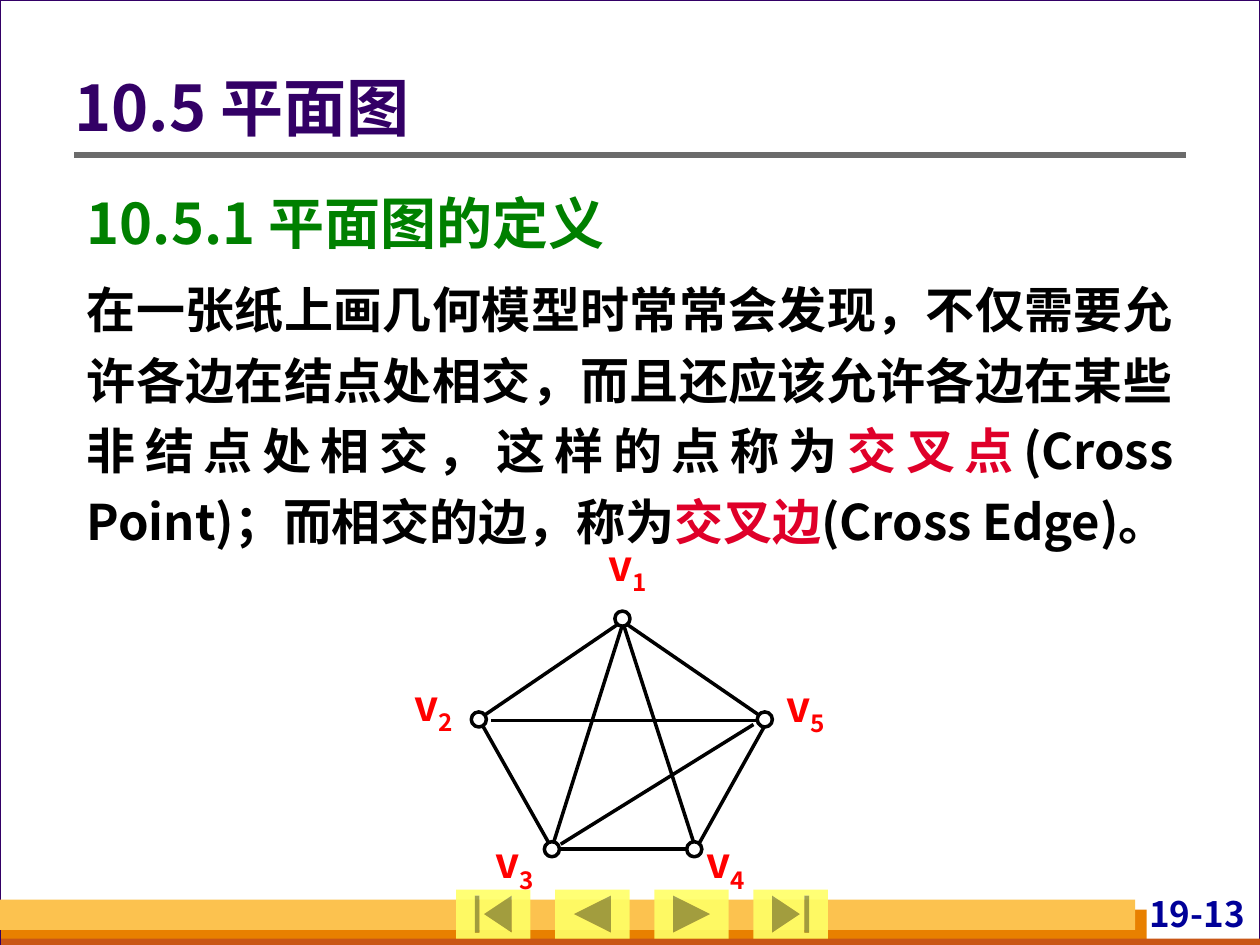
from lxml import etree
from pptx import Presentation
from pptx.dml.color import RGBColor
from pptx.enum.shapes import MSO_CONNECTOR, MSO_SHAPE
from pptx.enum.text import MSO_ANCHOR, PP_ALIGN
from pptx.oxml.ns import qn
from pptx.util import Inches, Pt

RECTANGLE, OVAL = MSO_SHAPE.RECTANGLE, MSO_SHAPE.OVAL
BUTTONS = (
    MSO_SHAPE.ACTION_BUTTON_BEGINNING,
    MSO_SHAPE.ACTION_BUTTON_BACK_OR_PREVIOUS,
    MSO_SHAPE.ACTION_BUTTON_FORWARD_OR_NEXT,
    MSO_SHAPE.ACTION_BUTTON_END,
)
STRAIGHT = MSO_CONNECTOR.STRAIGHT
LEFT, RIGHT, JUSTIFY = PP_ALIGN.LEFT, PP_ALIGN.RIGHT, PP_ALIGN.JUSTIFY
TOP, MIDDLE = MSO_ANCHOR.TOP, MSO_ANCHOR.MIDDLE

FONT = "Noto Sans CJK SC"
BLACK, WHITE, PURPLE, GREEN = "000000", "FFFFFF", "330066", "008000"
CRIMSON, RED, NAVY, GREY = "DF0029", "FF0000", "000099", "6B6B6B"


def color(hex_string):
    return RGBColor.from_string(hex_string)


def inches(box):
    return [Inches(value) for value in box]


def add_run(paragraph, text, size=28, fill=BLACK, baseline=None):
    run = paragraph.add_run()
    run.text = text
    run.font.size = Pt(size)
    run.font.bold = True
    run.font.name = FONT
    run.font.color.rgb = color(fill)
    properties = run._r.get_or_add_rPr()
    etree.SubElement(properties, qn("a:ea")).set("typeface", FONT)
    if baseline is not None:
        properties.set("baseline", str(baseline * 1000))


def write_text(shape, paragraphs, insets=(0, 0, 0, 0), anchor=TOP,
               align=LEFT, line_spacing=1.0, space_before=0):
    """Each paragraph is a list of (text, run format) pairs."""
    frame = shape.text_frame
    frame.word_wrap = True
    frame.vertical_anchor = anchor
    (frame.margin_left, frame.margin_top,
     frame.margin_right, frame.margin_bottom) = inches(insets)
    for index, runs in enumerate(paragraphs):
        paragraph = frame.add_paragraph() if index else frame.paragraphs[0]
        paragraph.alignment = align
        paragraph.line_spacing = line_spacing
        paragraph.space_before = Pt(space_before if index else 0)
        for text, run_format in runs:
            add_run(paragraph, text, **run_format)


def add_text(slide, box, paragraphs, **text_format):
    write_text(slide.shapes.add_textbox(*inches(box)), paragraphs, **text_format)


def add_preset(slide, kind, box, fill, line=None, width=1.0):
    shape = slide.shapes.add_shape(kind, *inches(box))
    shape.shadow.inherit = False
    shape.fill.solid()
    shape.fill.fore_color.rgb = color(fill)
    if line:
        shape.line.color.rgb = color(line)
        shape.line.width = Pt(width)
    else:
        shape.line.fill.background()
    return shape


def add_line(slide, start, end, fill=BLACK, width=2):
    line = slide.shapes.add_connector(STRAIGHT, *inches(start + end))
    line.line.color.rgb = color(fill)
    line.line.width = Pt(width)
    etree.SubElement(line._element.spPr, qn("a:effectLst"))


def add_frame(slide, width, height):
    add_preset(slide, RECTANGLE, (0, 0, width, height), WHITE, PURPLE, 0.75)
    # Layered bars along the bottom edge
    bars = (
        ((0.01, height - 0.28, 9.09, 0.28), "E88000"),
        ((0.01, height - 0.05, width - 0.01, 0.05), "C95616"),
        ((0, height - 0.36, 9.01, 0.24), "FCC24F"),
    )
    for box, fill in bars:
        add_preset(slide, RECTANGLE, box, fill)
    # Page number
    add_text(slide, (8.7, 7.08, 1.22, 0.4), [[("19-13", {"size": 20, "fill": NAVY})]],
             insets=(0.04, 0, 0.04, 0), align=RIGHT)


def add_navigation(slide, first_left, last_left, top):
    pitch = (last_left - first_left) / (len(BUTTONS) - 1)
    for index, kind in enumerate(BUTTONS):
        box = (first_left + index * pitch, top, 0.59, 0.39)
        button = add_preset(slide, kind, box, "FFFF66")
        fill = button.fill._xPr.find(qn("a:solidFill"))[0]
        etree.SubElement(fill, qn("a:alpha")).set("val", "90000")


def add_title(slide, left, top, width, height):
    title = slide.shapes.title
    title.left, title.top, title.width, title.height = inches((left, top, width, height))
    write_text(title, [[("10.5 平面图", {"size": 36, "fill": PURPLE})]],
               insets=(0, 0.05, 0.1, 0.05), anchor=MIDDLE, line_spacing=0.9)
    rule_y = top + 0.85
    add_line(slide, (left, rule_y), (left + width, rule_y), GREY, 3)


def add_body(slide, box):
    term = {"fill": CRIMSON}
    heading = [("10.5.1 平面图的定义", {"size": 32, "fill": GREEN})]
    definition = [
        ("在一张纸上画几何模型时常常会发现，不仅需要允许各边在结点处相交，"
         "而且还应该允许各边在某些非结点处相交，这样的点称为", {}),
        ("交叉点", term),
        ("(Cross Point)；而相交的边，称为", {}),
        ("交叉边", term),
        ("(Cross Edge)。", {}),
    ]
    add_text(slide, box, [heading, definition], insets=(0.1, 0.05, 0.1, 0.05),
             align=JUSTIFY, line_spacing=1.2, space_before=7)


def add_graph(slide, left, top):
    """Five-vertex graph; all places are offsets from its top left corner."""
    def place(point):
        return left + point[0], top + point[1]

    edges = (
        ((0.61, 1.44), (2.73, 1.44)),
        ((1.65, 0.68), (1.09, 2.45)),
        ((1.65, 0.65), (2.22, 2.42)),
        ((2.69, 1.47), (1.16, 2.42)),
        ((1.65, 0.65), (0.52, 1.42)),
        ((2.78, 1.48), (2.25, 2.43)),
        ((1.14, 2.46), (2.20, 2.46)),
        ((1.65, 0.65), (2.77, 1.42)),
        ((0.53, 1.46), (1.06, 2.40)),
    )
    for start, end in edges:
        add_line(slide, place(start), place(end))

    # Vertex corner and label corner, in order v1 to v5
    vertices = (
        ((1.59, 0.57), (1.54, 0)),
        ((0.45, 1.37), (0, 1.11)),
        ((1.03, 2.40), (0.64, 2.36)),
        ((2.16, 2.40), (2.32, 2.36)),
        ((2.72, 1.37), (2.95, 1.12)),
    )
    style = {"size": 24, "fill": RED}
    for number, (vertex, label) in enumerate(vertices, 1):
        add_preset(slide, OVAL, (*place(vertex), 0.12, 0.12), WHITE, BLACK, 2)
        runs = [("v", style), (str(number), {**style, "baseline": -25})]
        add_text(slide, (*place(label), 0.47, 0.46), [runs])


def main():
    presentation = Presentation()
    presentation.slide_width, presentation.slide_height = inches((10, 7.5))
    slide = presentation.slides.add_slide(presentation.slide_layouts[5])
    slide.background.fill.solid()
    slide.background.fill.fore_color.rgb = color("D8DADA")

    add_frame(slide, 10, 7.5)
    add_navigation(slide, 3.62, 5.98, 7.06)
    add_title(slide, 0.59, 0.38, 8.82, 1.01)
    # Bring the title in front of the page frame
    slide.shapes._spTree.append(slide.shapes.title._element)
    add_body(slide, (0.59, 1.34, 8.82, 3.64))
    add_graph(slide, 3.29, 4.28)
    presentation.save("out.pptx")


if __name__ == "__main__":
    main()
